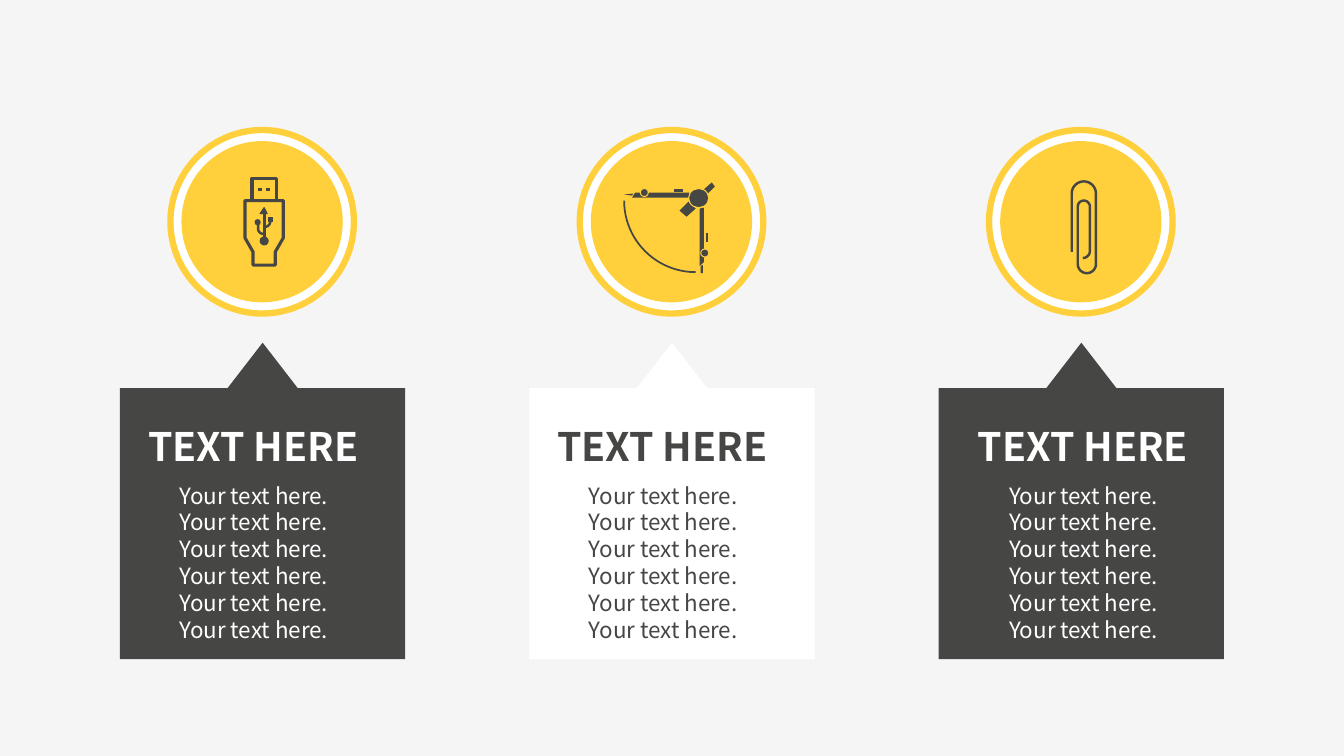
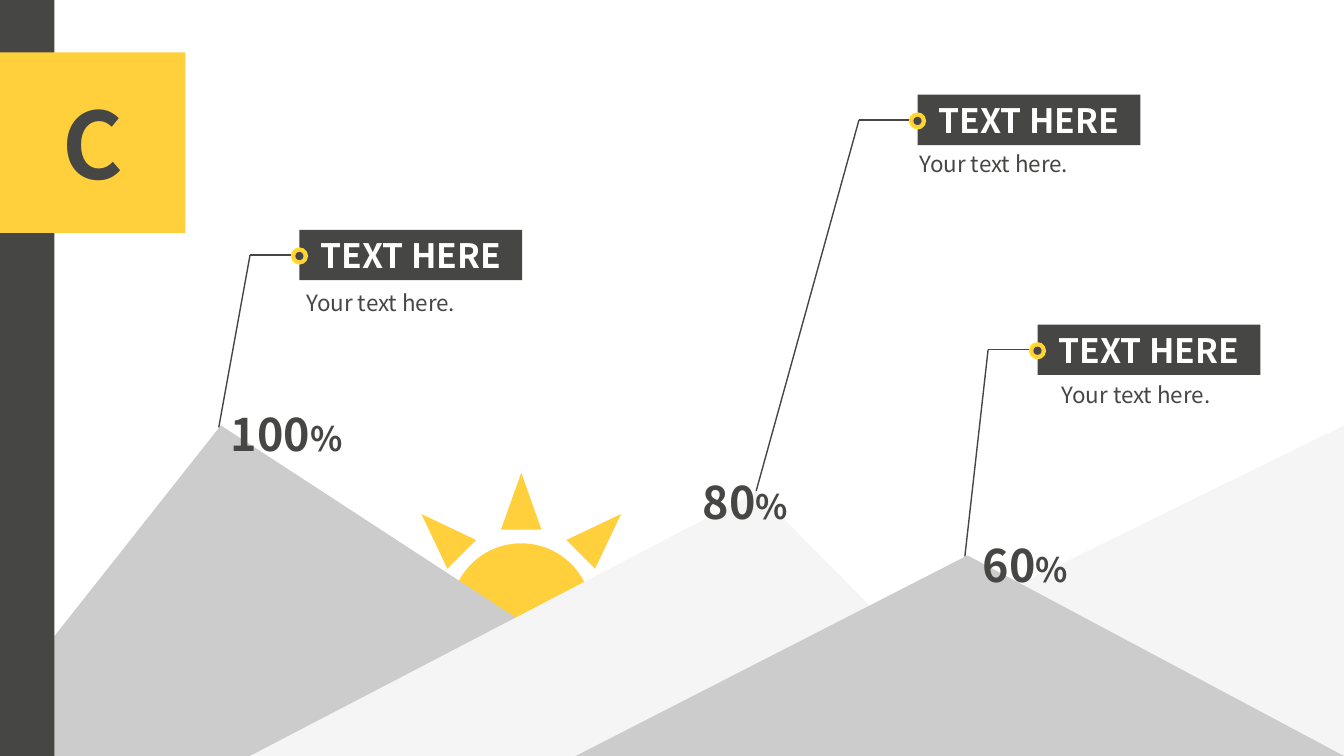
from math import cos, radians, sin

from lxml import etree
from pptx import Presentation
from pptx.dml.color import RGBColor
from pptx.enum.shapes import MSO_CONNECTOR, MSO_SHAPE
from pptx.enum.text import MSO_ANCHOR, MSO_AUTO_SIZE, PP_ALIGN
from pptx.oxml.ns import qn
from pptx.util import Inches, Pt

RECT, OVAL, PEAK, SUN = (MSO_SHAPE.RECTANGLE, MSO_SHAPE.OVAL,
                         MSO_SHAPE.ISOSCELES_TRIANGLE, MSO_SHAPE.SUN)
LINE = MSO_CONNECTOR.STRAIGHT
LEFT, CENTER = PP_ALIGN.LEFT, PP_ALIGN.CENTER
TOP, MIDDLE = MSO_ANCHOR.TOP, MSO_ANCHOR.MIDDLE
GROW = MSO_AUTO_SIZE.SHAPE_TO_FIT_TEXT

FONT = "Noto Sans CJK SC"
DARK, GOLD, WHITE = "464645", "FFD03B", "FFFFFF"
PALE, GREY, RIM = "F5F5F5", "CCCCCC", "FFE51E"
HEAD, BODY = "TEXT HERE", "Your text here."


def paint(shape, fill=None, line=None, width=0.75):
    """Set fill and outline, without a shadow."""
    shape.shadow.inherit = False
    if fill:
        shape.fill.solid()
        shape.fill.fore_color.rgb = RGBColor.from_string(fill)
    else:
        shape.fill.background()
    if line:
        shape.line.color.rgb = RGBColor.from_string(line)
        shape.line.width = Pt(width)
    else:
        shape.line.fill.background()
    return shape


def put(shape, text, size, color, bold=False, align=LEFT, anchor=TOP, fit=GROW):
    """Write text, one paragraph per line, and format its runs."""
    frame = shape.text_frame
    frame.text = text
    frame.word_wrap = True
    frame.auto_size = fit
    frame.vertical_anchor = anchor
    for para in frame.paragraphs:
        para.alignment = align
        for run in para.runs:
            run.font.name = FONT
            run.font.size = Pt(size)
            run.font.bold = bold
            run.font.color.rgb = RGBColor.from_string(color)
    return frame


deck = Presentation()
deck.slide_width, deck.slide_height = Inches(13.33), Inches(7.5)
pages = []
for color in (PALE, WHITE):
    page = deck.slides.add_slide(deck.slide_layouts[6])
    page.background.fill.solid()
    page.background.fill.fore_color.rgb = RGBColor.from_string(color)
    pages.append(page.shapes)
cards, hills = pages

# Slide 1: three badges with cards
STEP = 4.06
lines = "\n".join([BODY, f"{BODY} {BODY}", BODY, BODY, BODY])
for i, (fill, ink, pad) in enumerate(
        ((DARK, WHITE, 0.18), (WHITE, DARK, 0.18), (DARK, WHITE, 0.29))):
    x = 1.19 + i * STEP
    for kind, dx, y, w, h, tone, edge in (
            (OVAL, 0.5, 1.29, 1.82, 1.82, WHITE, GOLD),
            (OVAL, 0.61, 1.4, 1.6, 1.6, GOLD, None),
            (RECT, 0, 3.85, 2.83, 2.69, fill, None),
            (PEAK, 1.06, 3.4, 0.71, 0.46, fill, None)):
        shape = cards.add_shape(kind, *map(Inches, (x + dx, y, w, h)))
        paint(shape, tone, edge, 4.5)
    left = x + pad
    title = cards.add_textbox(*map(Inches, (left, 4.14, 2.5, 0.57)))
    put(title, HEAD, 28, ink, bold=True)
    text = cards.add_textbox(*map(Inches, (left + 0.31, 4.73, 1.79, 1.72)))
    put(text, lines, 16, ink)

# Icon outlines: points, closed, fill, line width
paths = [
    # USB plug
    ([(2.5, 1.77), (2.74, 1.77), (2.74, 1.99), (2.5, 1.99)], True, None, 2.25),
    ([(2.43, 1.99), (2.81, 1.99), (2.81, 2.36), (2.73, 2.5), (2.73, 2.63),
      (2.51, 2.63), (2.51, 2.5), (2.43, 2.36)], True, None, 2.25),
    ([(2.58, 2.12), (2.62, 2.06), (2.65, 2.12)], True, DARK, 0.75),
    ([(2.62, 2.1), (2.62, 2.38)], False, None, 2.25),
    # Compass legs, tips, handle and side bars
    ([(6.19, 1.93), (6.28, 1.92), (6.27, 1.94)], True, DARK, 0),
    ([(6.3, 1.91), (6.84, 1.91), (6.83, 1.96), (6.27, 1.96)], True, DARK, 0),
    ([(6.68, 1.88), (6.77, 1.88), (6.77, 1.9), (6.68, 1.9)], True, DARK, 0),
    ([(6.94, 2.07), (6.98, 2.06), (6.98, 2.6), (6.94, 2.64)], True, DARK, 0),
    ([(6.95, 2.64), (6.97, 2.63), (6.97, 2.71), (6.95, 2.71)], True, DARK, 0),
    ([(7, 2.31), (7.02, 2.31), (7.02, 2.4), (7, 2.4)], True, DARK, 0),
    ([(7.06, 1.81), (7.09, 1.85), (7.02, 1.92), (6.98, 1.88)], True, DARK, 0),
    ([(6.83, 2), (6.9, 2.07), (6.81, 2.15), (6.74, 2.09)], True, DARK, 0),
]

# Curved strokes: start, width, bends (centre x, y, radius, from, sweep)
for start, width, bends in (
        ((2.56, 2.21), 1.75, [(2.61, 2.27, 0.05, 180, -90)]),
        ((2.68, 2.18), 1.75, [(2.63, 2.2, 0.05, 0, 90)]),
        ((6.19, 1.99), 1.25, [(6.9, 1.99, 0.71, 180, -90)]),
        ((10.63, 2.5), 1.75, [(10.75, 1.92, 0.12, 180, 180),
                              (10.78, 2.62, 0.09, 0, 180),
                              (10.75, 2.05, 0.06, 180, 180),
                              (10.74, 2.49, 0.07, 0, 90)])):
    points = [start]
    for x, y, r, first, sweep in bends:
        for n in range(25):
            turn = radians(first + sweep * n / 24)
            points.append((x + r * cos(turn), y + r * sin(turn)))
    paths.append((points, False, None, width))

for points, closed, fill, width in paths:
    spots = [(Inches(x), Inches(y)) for x, y in points]
    pen = cards.build_freeform(*spots[0])
    pen.add_line_segments(spots[1:], close=closed)
    paint(pen.convert_to_shape(), fill, DARK if width else None, width)

# Icon knobs and contacts
for kind, x, y, w, h, edge in (
        (RECT, 2.56, 1.87, 0.03, 0.02, DARK),
        (RECT, 2.64, 1.87, 0.03, 0.02, DARK),
        (RECT, 2.66, 2.16, 0.04, 0.04, DARK),
        (OVAL, 2.53, 2.18, 0.05, 0.05, DARK),
        (OVAL, 2.58, 2.35, 0.08, 0.08, DARK),
        (OVAL, 6.35, 1.87, 0.08, 0.08, GOLD),
        (OVAL, 6.95, 2.47, 0.08, 0.08, GOLD),
        (OVAL, 6.83, 1.87, 0.2, 0.19, GOLD)):
    paint(cards.add_shape(kind, *map(Inches, (x, y, w, h))), DARK, edge)

# Slide 2: mountains, sun and side band
for kind, x, y, w, h, fill, tip in (
        (PEAK, 6.64, 4.22, 6.69, 3.28, PALE, 1),
        (SUN, 3.77, 4.69, 2.8, 2.8, GOLD, None),
        (PEAK, -0.4, 4.22, 7.62, 3.28, GREY, 0.34),
        (PEAK, 2.48, 4.88, 7.62, 2.62, PALE, 0.66),
        (RECT, 0, 0, 0.54, 7.5, DARK, None),
        (PEAK, 5.71, 5.51, 7.62, 1.99, GREY, 0.51)):
    shape = paint(hills.add_shape(kind, *map(Inches, (x, y, w, h))), fill)
    if tip is not None:
        shape.adjustments[0] = tip

# Section letter
badge = paint(hills.add_shape(RECT, *map(Inches, (0, 0.52, 1.84, 1.79))), GOLD)
put(badge, "C", 66, DARK, True, CENTER, MIDDLE, MSO_AUTO_SIZE.NONE)

# Callouts: tag, bend, peak, note, value
for (x, y), bend, peak, note, spot, value in (
        ((2.97, 2.28), 2.48, (2.17, 4.24), (2.94, 2.82), (2.19, 3.99), "100"),
        ((9.1, 0.94), 8.52, (7.5, 4.87), (9.02, 1.44), (6.87, 4.66), "80"),
        ((10.29, 3.22), 9.8, (9.57, 5.52), (10.43, 3.73), (9.65, 5.29), "60")):
    tag = paint(hills.add_shape(RECT, *map(Inches, (x, y, 2.21, 0.5))), DARK)
    put(tag, HEAD, 24, WHITE, True, CENTER, MIDDLE)

    mid = y + 0.25
    arm = hills.add_connector(LINE, *map(Inches, (bend, mid, x, mid)))
    arm.end_connect(tag, 1)
    leg = hills.add_connector(LINE, *map(Inches, (*peak, bend, mid)))
    for wire in (arm, leg):
        wire.line.color.rgb = RGBColor.from_string(DARK)
        wire.line.width = Pt(1)
        etree.SubElement(wire._element.spPr, qn("a:effectLst"))

    for size, fill, edge in ((0.16, GOLD, RIM), (0.07, DARK, DARK)):
        half = size / 2
        dot = hills.add_shape(
            OVAL, *map(Inches, (x - half, mid + 0.01 - half, size, size)))
        paint(dot, fill, edge)

    text = hills.add_textbox(*map(Inches, (*note, 1.79, 0.37)))
    put(text, BODY, 16, DARK)
    label = hills.add_textbox(*map(Inches, (*spot, 1.79, 0.64)))
    frame = put(label, value, 32, DARK, bold=True)
    sign = frame.paragraphs[0].add_run()
    sign.text = "%"
    sign.font.name = FONT
    sign.font.size = Pt(24)
    sign.font.bold = True
    sign.font.color.rgb = RGBColor.from_string(DARK)

deck.save("out.pptx")
